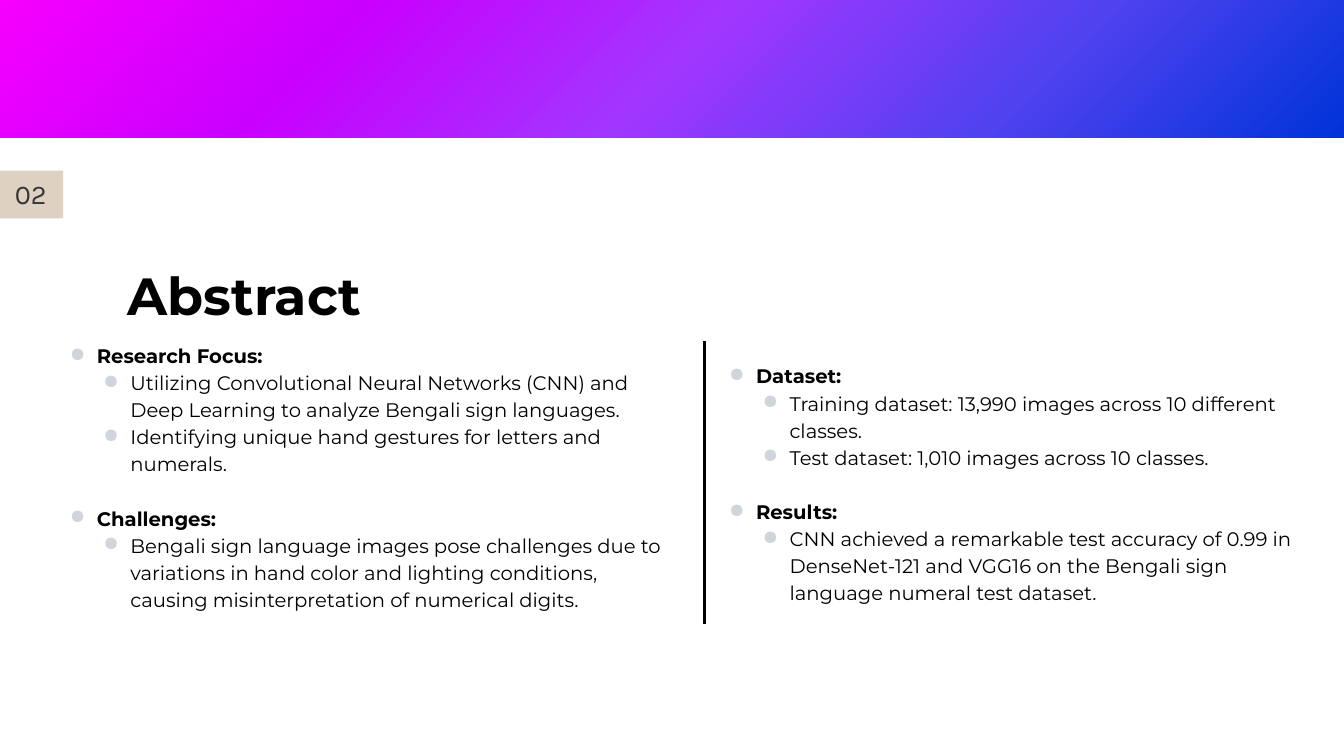
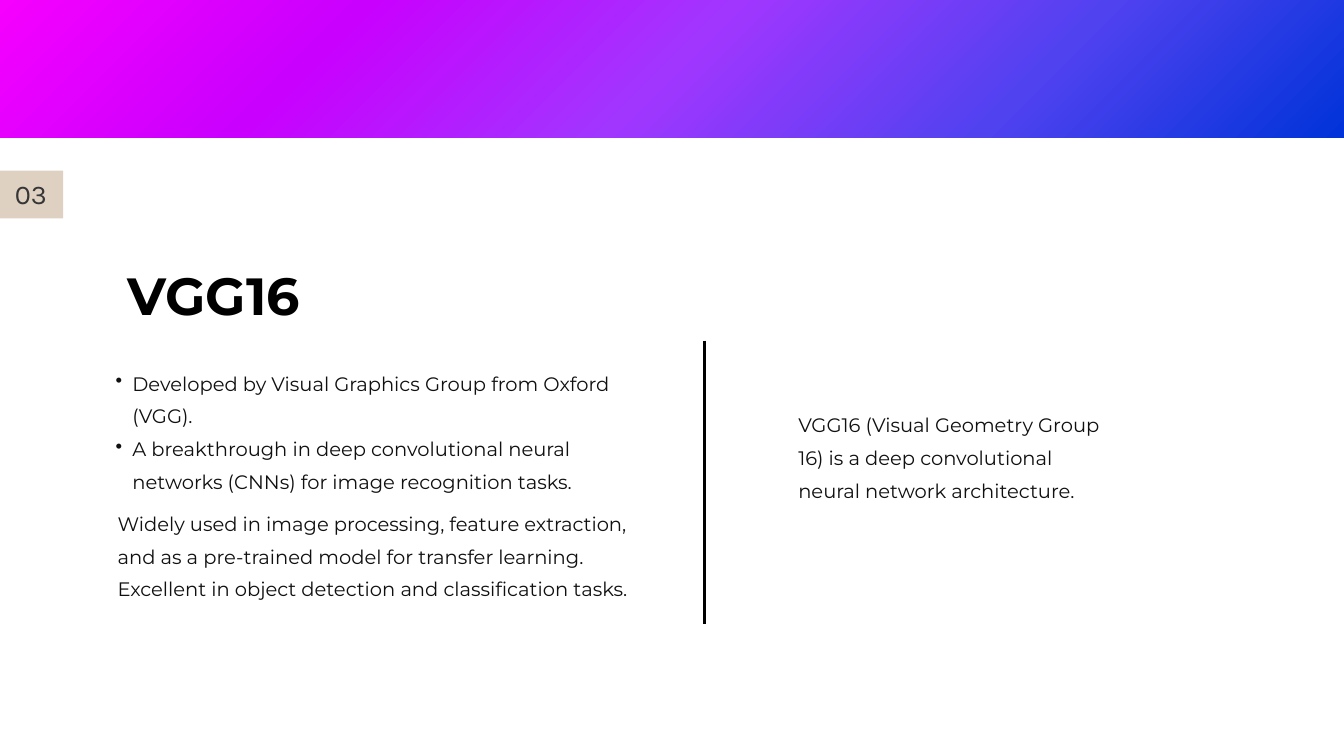
from dataclasses import dataclass

from lxml import etree
from pptx import Presentation
from pptx.dml.color import RGBColor
from pptx.enum.shapes import MSO_CONNECTOR, MSO_SHAPE
from pptx.enum.text import MSO_ANCHOR, MSO_AUTO_SIZE, PP_ALIGN
from pptx.oxml import parse_xml
from pptx.oxml.ns import nsdecls, qn
from pptx.util import Inches, Pt

RECTANGLE = MSO_SHAPE.RECTANGLE
STRAIGHT = MSO_CONNECTOR.STRAIGHT
TOP = MSO_ANCHOR.TOP
GROW = MSO_AUTO_SIZE.SHAPE_TO_FIT_TEXT
LEFT = PP_ALIGN.LEFT
BLANK_LAYOUT = 6


@dataclass(frozen=True)
class Theme:
    black: str = "000000"
    body: str = "101010"
    bullet: str = "D1D5DB"
    badge: str = "DFD1C2"
    number: str = "363636"
    band: tuple = ("F600FE", "C900FE", "A136FF", "5142F0", "0033D9")
    font: str = "Montserrat"
    number_font: str = "Karla"
    title_size: float = 56
    outline_size: float = 21
    body_size: float = 20.9
    number_size: float = 29
    outline_spacing: float = 1.15
    body_spacing: float = 1.4
    topic_gap: float = 29


THEME = Theme()
TITLE_FORMAT = {"name": THEME.font, "size": Pt(THEME.title_size), "bold": True, "color": THEME.black}
TOPIC_FORMAT = {"name": THEME.font, "size": Pt(THEME.outline_size), "bold": True, "color": THEME.black}
POINT_FORMAT = {**TOPIC_FORMAT, "bold": False}
BODY_FORMAT = {"name": THEME.font, "size": Pt(THEME.body_size), "color": THEME.body}
NUMBER_FORMAT = {"name": THEME.number_font, "size": Pt(THEME.number_size), "color": THEME.number}

ABSTRACT_LEFT = {
    "Research Focus:": [
        "Utilizing Convolutional Neural Networks (CNN) and Deep Learning to analyze Bengali sign languages.",
        "Identifying unique hand gestures for letters and numerals.",
    ],
    "Challenges:": [
        "Bengali sign language images pose challenges due to variations in hand color and lighting "
        "conditions, causing misinterpretation of numerical digits.",
    ],
}
ABSTRACT_RIGHT = {
    "Dataset:": [
        "Training dataset: 13,990 images across 10 different classes.",
        "Test dataset: 1,010 images across 10 classes.",
    ],
    "Results:": [
        "CNN achieved a remarkable test accuracy of 0.99 in DenseNet-121 and VGG16 on the Bengali "
        "sign language numeral test dataset.",
    ],
}
VGG_ORIGIN = [
    "Developed by Visual Graphics Group from Oxford (VGG).",
    "A breakthrough in deep convolutional neural networks (CNNs) for image recognition tasks.",
]
VGG_USES = [
    "Widely used in image processing, feature extraction, and as a pre-trained model for transfer learning.",
    "Excellent in object detection and classification tasks.",
]
VGG_DEFINITION = [
    "VGG16 (Visual Geometry Group 16) is a deep convolutional neural network architecture.",
]


def set_attributes(target, values):
    for name, value in values.items():
        if name == "color":
            target.color.rgb = RGBColor.from_string(value)
        else:
            setattr(target, name, value)


def set_margins(frame, left=0, top=0, right=0, bottom=0):
    margins = {"left": left, "top": top, "right": right, "bottom": bottom}
    set_attributes(frame, {f"margin_{side}": Inches(size) for side, size in margins.items()})


def add_text_box(page, left, top, width, height):
    box = page.shapes.add_textbox(Inches(left), Inches(top), Inches(width), Inches(height))
    frame = box.text_frame
    set_attributes(frame, {"word_wrap": True, "auto_size": GROW, "vertical_anchor": TOP})
    set_margins(frame)
    return frame


def add_para(frame, text, font_format, spacing=None, level=0, space_before=0):
    para = frame.paragraphs[0]
    if para.runs:
        para = frame.add_paragraph()
    set_attributes(para, {"alignment": LEFT, "level": level, "space_before": Pt(space_before)})
    if spacing:
        para.line_spacing = spacing
    span = para.add_run()
    span.text = text
    set_attributes(span.font, font_format)
    return para


def set_bullet(para, symbol, color, indent, hanging):
    properties = para._p.get_or_add_pPr()
    properties.set("marL", str(Inches(indent)))
    properties.set("indent", str(-Inches(hanging)))
    bullet_color = etree.SubElement(properties, qn("a:buClr"))
    etree.SubElement(bullet_color, qn("a:srgbClr"), val=color)
    etree.SubElement(properties, qn("a:buChar"), char=symbol)


def add_outline(page, area, topics):
    frame = add_text_box(page, *area)
    for index, (topic, points) in enumerate(topics.items()):
        gap = THEME.topic_gap if index else 0
        para = add_para(frame, topic, TOPIC_FORMAT, THEME.outline_spacing, 0, gap)
        set_bullet(para, "●", THEME.bullet, 0.5, 0.4)
        for point in points:
            para = add_para(frame, point, POINT_FORMAT, THEME.outline_spacing, 1)
            set_bullet(para, "●", THEME.bullet, 1, 0.4)


def add_body(page, area, texts, bulleted=False):
    frame = add_text_box(page, *area)
    for text in texts:
        para = add_para(frame, text, BODY_FORMAT, THEME.body_spacing, int(bulleted))
        if bulleted:
            set_bullet(para, "•", THEME.body, 0.49, 0.25)


def add_block(page, left, top, width, height, color):
    shape = page.shapes.add_shape(RECTANGLE, Inches(left), Inches(top), Inches(width), Inches(height))
    shape.shadow.inherit = False
    shape.line.fill.background()
    shape.fill.solid()
    shape.fill.fore_color.rgb = RGBColor.from_string(color)
    return shape


def add_band(page):
    band = add_block(page, 0, 0, 20, 2.05, THEME.band[0])
    step = 100000 // (len(THEME.band) - 1)
    stops = "".join(
        f'<a:gs pos="{index * step}"><a:srgbClr val="{color}"/></a:gs>'
        for index, color in enumerate(THEME.band)
    )
    gradient = parse_xml(
        f'<a:gradFill {nsdecls("a")} rotWithShape="1"><a:gsLst>{stops}</a:gsLst>'
        '<a:path path="circle"><a:fillToRect r="100000" b="100000"/></a:path>'
        "<a:tileRect/></a:gradFill>"
    )
    properties = band._element.spPr
    properties.replace(properties.find(qn("a:solidFill")), gradient)


def add_divider(page):
    divider = page.shapes.add_connector(STRAIGHT, Inches(10.48), Inches(5.07), Inches(10.48), Inches(9.28))
    set_attributes(divider.line, {"width": Pt(3), "color": THEME.black})
    etree.SubElement(divider._element.spPr, qn("a:effectLst"))


def add_number_badge(page, number):
    badge = add_block(page, 0, 2.54, 0.94, 0.71, THEME.badge)
    frame = badge.text_frame
    set_attributes(frame, {"word_wrap": True, "vertical_anchor": TOP})
    set_margins(frame, 0.22, 0.1, 0.1, 0.2)
    add_para(frame, f"{number:02d}", NUMBER_FORMAT)


def add_page(deck, number, title):
    page = deck.slides.add_slide(deck.slide_layouts[BLANK_LAYOUT])
    add_para(add_text_box(page, 1.9, 3.55, 9.18, 0.94), title, TITLE_FORMAT, THEME.body_spacing)
    add_band(page)
    add_divider(page)
    add_number_badge(page, number)
    return page


def main():
    deck = Presentation()
    deck.slide_width = Inches(20)
    deck.slide_height = Inches(11.25)

    abstract = add_page(deck, 2, "Abstract")
    add_outline(abstract, (0.94, 5.07, 9.02, 4.76), ABSTRACT_LEFT)
    add_outline(abstract, (10.75, 5.37, 8.62, 3.61), ABSTRACT_RIGHT)

    vgg = add_page(deck, 3, "VGG16")
    add_body(vgg, (1.75, 7.48, 7.87, 1.34), VGG_USES)
    add_body(vgg, (11.88, 6.01, 4.72, 1.34), VGG_DEFINITION)
    add_body(vgg, (1.48, 5.39, 7.87, 2.33), VGG_ORIGIN, bulleted=True)

    deck.save("out.pptx")


if __name__ == "__main__":
    main()
